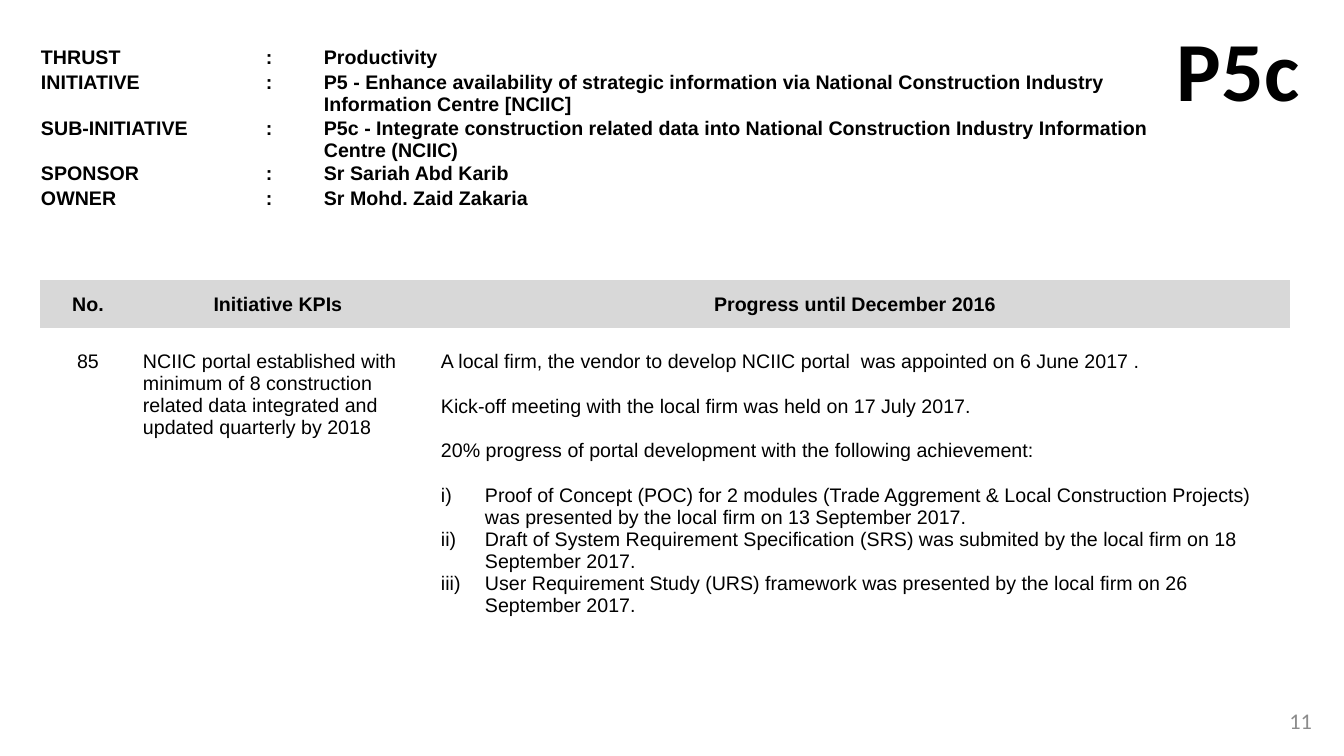
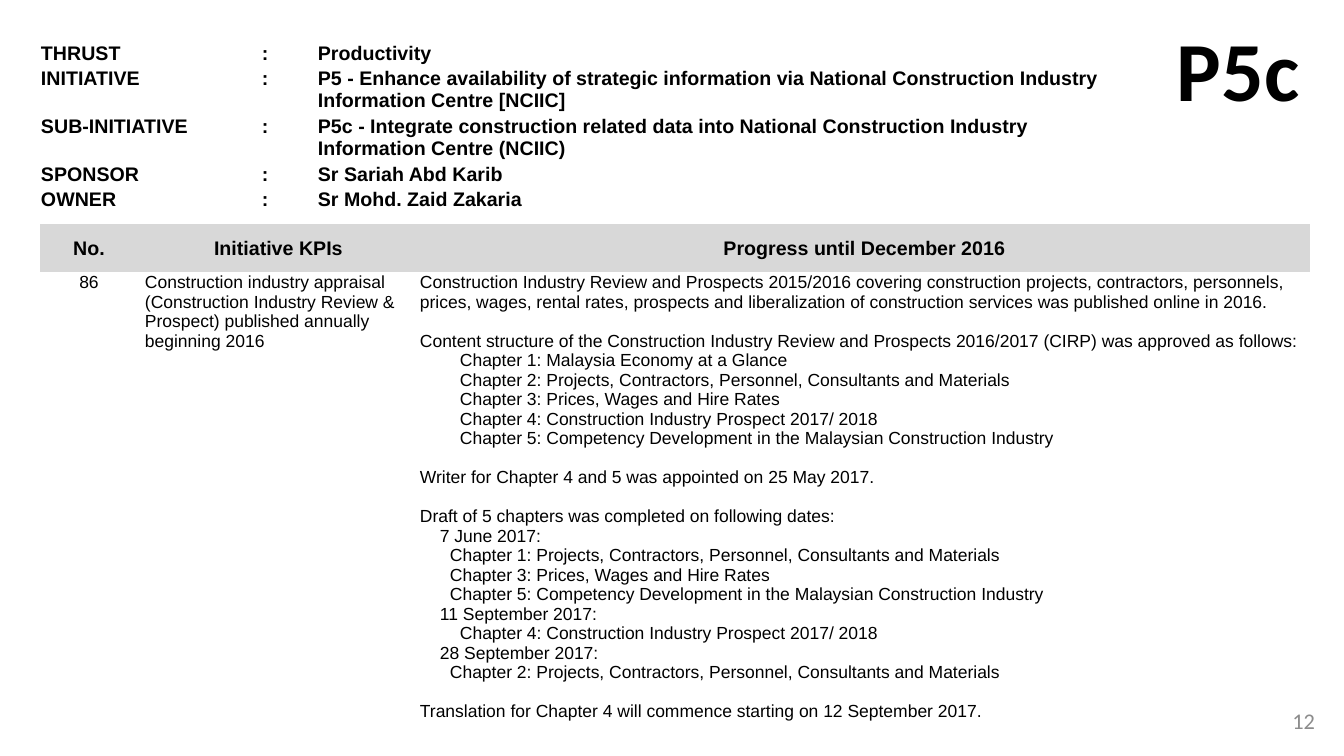
from dataclasses import dataclass

from lxml.etree import SubElement
from pptx import Presentation
from pptx.dml.color import RGBColor
from pptx.enum.text import MSO_ANCHOR as Anchor, PP_ALIGN as Align
from pptx.oxml.ns import qn
from pptx.util import Emu, Pt

NO_STYLE_NO_GRID = "{2D5ABB26-0587-4C30-8999-92F81FD0307C}"


@dataclass(frozen=True)
class Theme:
    ink: str = "000000"
    band: str = "D8D8D8"
    muted: str = "8C8C8C"
    body_font: str = "Arial"
    display_font: str = "Calibri"
    body: float = 14
    compact: float = 12.5
    code: float = 60
    number: float = 16


THEME = Theme()


def px(length):
    """Turn slide pixels (100.8 to the inch) into EMU."""
    return Emu(round(length * 914400 / 100.8))


def add_text(frame, text, *, size=THEME.body, font=THEME.body_font,
             color=THEME.ink, bold=False, align=Align.LEFT, gap=0,
             left=0, hanging=0, numbering=None):
    """Add one paragraph; left and hanging are in px, gap in points."""
    para = frame.paragraphs[0] if not frame.text else frame.add_paragraph()
    para.alignment = align
    if gap:
        para.space_before = Pt(gap)
    props = para._p.get_or_add_pPr()
    props.set("marL", str(px(left)))
    props.set("indent", str(-px(hanging)))
    if numbering:
        SubElement(props, qn("a:buFont"), typeface="+mj-lt")
        SubElement(props, qn("a:buAutoNum"), type=numbering)
    if not text:
        SubElement(para._p, qn("a:endParaRPr"), sz=str(round(size * 100)))
        return
    span = para.add_run()
    span.text = text
    span.font.size = Pt(size)
    span.font.name = font
    span.font.bold = bold
    span.font.color.rgb = RGBColor.from_string(color)


def add_box(page, box, text, *, wrap=True, anchor=Anchor.TOP, **style):
    frame = page.shapes.add_textbox(*map(px, box)).text_frame
    frame.word_wrap = wrap
    frame.vertical_anchor = anchor
    add_text(frame, text, **style)


def add_plain_table(page, left, top, widths, heights):
    """Add a table without borders, with tight cell margins."""
    table = page.shapes.add_table(
        len(heights), len(widths), px(left), px(top),
        px(sum(widths)), px(sum(heights))).table
    table.first_row = table.horz_banding = False
    table._tbl.tblPr.find(qn("a:tableStyleId")).text = NO_STYLE_NO_GRID
    for column, width in zip(table.columns, widths):
        column.width = px(width)
    for row, height in zip(table.rows, heights):
        row.height = px(height)
    for cell in table.iter_cells():
        cell.fill.background()
        cell.margin_left = cell.margin_right = cell.margin_top = px(1)
        cell.margin_bottom = 0
    return table


# Shared content
DETAILS = [
    ("THRUST", "Productivity"),
    ("INITIATIVE", "P5 - Enhance availability of strategic information via "
     "National Construction Industry Information Centre [NCIIC]"),
    ("SUB-INITIATIVE", "P5c - Integrate construction related data into "
     "National Construction Industry Information Centre (NCIIC)"),
    ("SPONSOR", "Sr Sariah Abd Karib"),
    ("OWNER", "Sr Mohd. Zaid Zakaria"),
]
HEADINGS = ("No.", "Initiative KPIs", "Progress until December 2016")


def add_details(page, left, top, widths):
    """Initiative details: label, colon, gap and value."""
    table = add_plain_table(page, left, top, widths, (23, 46, 45, 23, 23))
    for row, (label, value) in enumerate(DETAILS):
        for column, text in enumerate((label, ":", "", value)):
            add_text(table.cell(row, column).text_frame, text, bold=True)


def add_progress(page, left, top, widths, body_height, kpi, size, inset):
    """KPI table: grey heading band and one row of progress."""
    table = add_plain_table(page, left, top, widths, (48, body_height))
    for column, heading in enumerate(HEADINGS):
        cell = table.cell(0, column)
        cell.fill.solid()
        cell.fill.fore_color.rgb = RGBColor.from_string(THEME.band)
        cell.vertical_anchor = Anchor.MIDDLE
        add_text(cell.text_frame, heading, bold=True, align=Align.CENTER)
        table.cell(1, column).margin_top = px(inset)

    number, target, progress = kpi
    table.cell(1, 1).margin_left = px(7)
    add_text(table.cell(1, 0).text_frame, number, size=size, align=Align.CENTER)
    add_text(table.cell(1, 1).text_frame, target, size=size)
    for text, style in progress:
        add_text(table.cell(1, 2).text_frame, text, size=size, **style)


def add_kpi_page(deck, number, number_left, details, progress):
    page = deck.slides.add_slide(deck.slide_layouts[6])
    add_details(page, **details)
    add_box(page, (1167, 13, 144, 112), "P5c", wrap=False, bold=True,
            size=THEME.code, font=THEME.display_font)
    add_progress(page, **progress)
    add_box(page, (number_left, 701, 302, 40), number, anchor=Anchor.MIDDLE,
            align=Align.RIGHT, size=THEME.number, font=THEME.display_font,
            color=THEME.muted)


# Paragraph formats of the progress column
STATEMENT = dict(left=20)
NEXT_STATEMENT = dict(left=20, gap=16)
ITEM = dict(left=64, hanging=44, numbering="romanLcParenR")
FIRST_ITEM = dict(ITEM, gap=16)
SECTION = dict(gap=14)
DATE = dict(left=20)
DATED_CHAPTER = dict(left=30)
CHAPTER = dict(left=40)

CHAPTER_2 = "Chapter 2: Projects, Contractors, Personnel, Consultants and Materials"
CHAPTER_3 = "Chapter 3: Prices, Wages and Hire Rates"
CHAPTER_4 = "Chapter 4: Construction Industry Prospect 2017/ 2018"
CHAPTER_5 = ("Chapter 5: Competency Development in the Malaysian "
             "Construction Industry")

PORTAL = (
    "85",
    "NCIIC portal established with minimum of 8 construction related data "
    "integrated and updated quarterly by 2018",
    [
        ("A local firm, the vendor to develop NCIIC portal  was appointed "
         "on 6 June 2017 .", STATEMENT),
        ("Kick-off meeting with the local firm was held on 17 July 2017.",
         NEXT_STATEMENT),
        ("20% progress of portal development with the following achievement:",
         NEXT_STATEMENT),
        ("Proof of Concept (POC) for 2 modules (Trade Aggrement & Local "
         "Construction Projects) was presented by the local firm on "
         "13 September 2017.", FIRST_ITEM),
        ("Draft of System Requirement Specification (SRS) was submited by "
         "the local firm on 18 September 2017.", ITEM),
        ("User Requirement Study (URS) framework was presented by "
         "the local firm on 26 September 2017.", ITEM),
    ],
)
REVIEW = (
    "86",
    "Construction industry appraisal (Construction Industry Review & "
    "Prospect) published annually beginning 2016",
    [
        ("Construction Industry Review and Prospects 2015/2016 covering "
         "construction projects, contractors, personnels, prices, wages, "
         "rental rates, prospects and liberalization of construction services "
         "was published online in 2016.", {}),
        ("Content structure of the Construction Industry Review and Prospects "
         "2016/2017 (CIRP) was approved as follows:", SECTION),
        ("Chapter 1: Malaysia Economy at a Glance", CHAPTER),
        (CHAPTER_2, CHAPTER),
        (CHAPTER_3, CHAPTER),
        (CHAPTER_4, CHAPTER),
        (CHAPTER_5, CHAPTER),
        ("Writer for Chapter 4 and 5 was appointed on 25 May 2017.", SECTION),
        ("Draft of 5 chapters was completed on following dates:", SECTION),
        ("7 June 2017:", DATE),
        (CHAPTER_2.replace("2", "1", 1), DATED_CHAPTER),
        (CHAPTER_3, DATED_CHAPTER),
        (CHAPTER_5, DATED_CHAPTER),
        ("11 September 2017:", DATE),
        (CHAPTER_4, CHAPTER),
        ("28 September 2017:", DATE),
        (CHAPTER_2, DATED_CHAPTER),
        ("Translation for Chapter 4 will commence starting on "
         "12 September 2017.", SECTION),
    ],
)


def main():
    deck = Presentation()
    deck.slide_width, deck.slide_height = px(1344), px(756)
    add_kpi_page(
        deck, "11", 1020,
        details=dict(left=40, top=46, widths=(225, 25, 33, 844)),
        progress=dict(left=40, top=280, widths=(96, 284, 870), body_height=307,
                      kpi=PORTAL, size=THEME.body, inset=23))
    add_kpi_page(
        deck, "12", 1023,
        details=dict(left=40, top=42, widths=(221, 24, 32, 826)),
        progress=dict(left=40, top=224, widths=(98, 281, 891), body_height=484,
                      kpi=REVIEW, size=THEME.compact, inset=1))
    deck.save("out.pptx")


if __name__ == "__main__":
    main()
